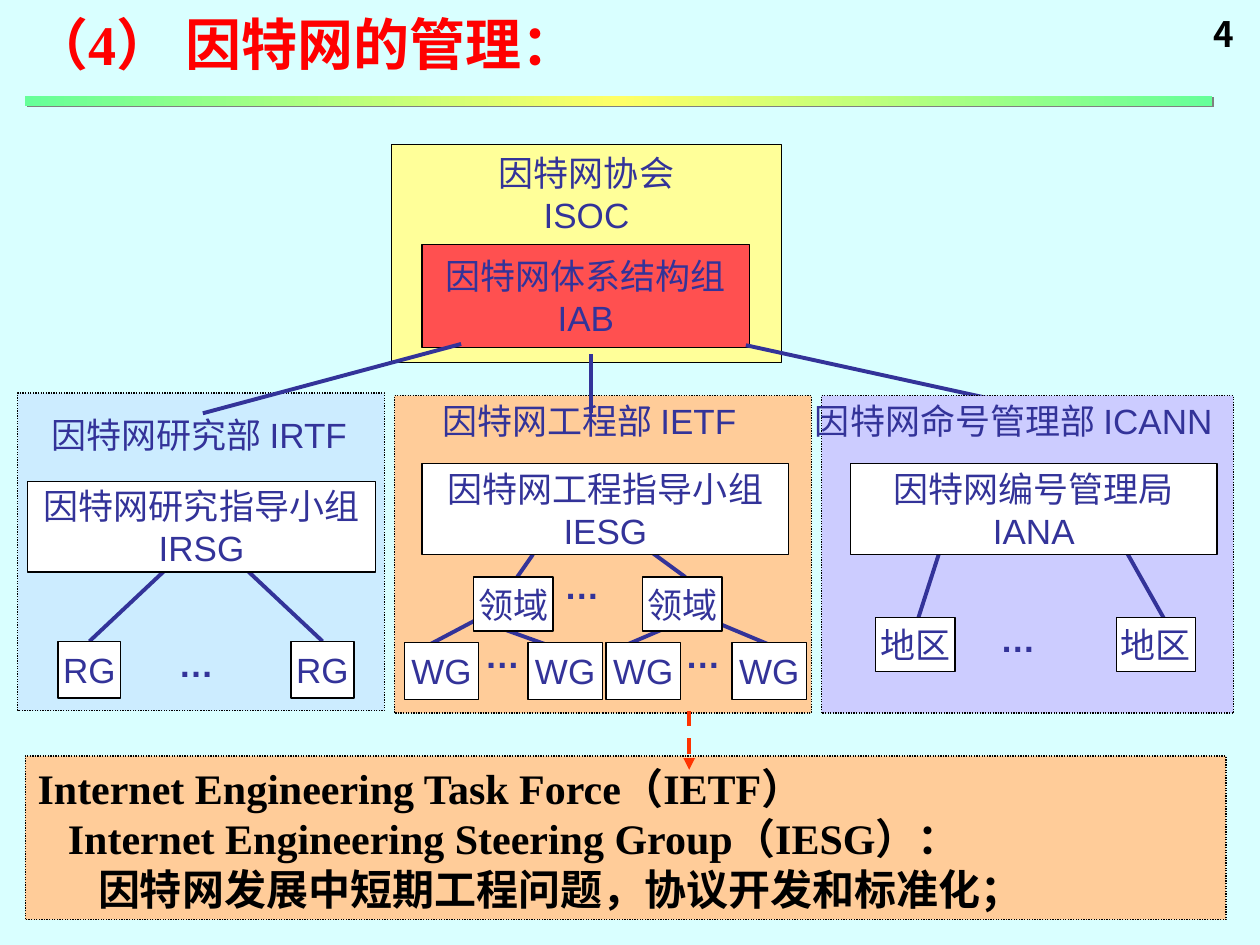
"""Build the slide on how the Internet is managed, with its organisation chart."""
from copy import deepcopy

from lxml.etree import SubElement
from pptx import Presentation
from pptx.dml.color import RGBColor
from pptx.enum.dml import MSO_LINE
from pptx.enum.shapes import MSO_CONNECTOR, MSO_SHAPE
from pptx.enum.text import MSO_ANCHOR, MSO_AUTO_SIZE, PP_ALIGN
from pptx.oxml.ns import qn
from pptx.util import Inches, Pt

COLORS = {
    "background": "D9FFFF", "black": "000000", "white": "FFFFFF", "navy": "333399",
    "title": "FF0000", "arrow": "FF3300", "society": "FFFF99", "board": "FF5050",
    "research": "CCECFF", "engineering": "FFCC99", "naming": "CCCCFF",
    "bar_end": "66FF99", "bar_middle": "FFFF66", "shadow": "808080",
}
COLORS_RGB = {name: RGBColor.from_string(value) for name, value in COLORS.items()}

presentation = Presentation()
presentation.slide_width, presentation.slide_height = Inches(10), Inches(7.5)
slide = presentation.slides.add_slide(presentation.slide_layouts[6])
slide.background.fill.solid()
slide.background.fill.fore_color.rgb = COLORS_RGB["background"]


def add_box(position, lines=(), fill=None, dotted=False, size=20, font="Arial",
            color="navy", bold=False, align=PP_ALIGN.CENTER, anchor=MSO_ANCHOR.MIDDLE,
            indent=0):
    lengths = [Inches(value) for value in position]
    if fill:
        shape = slide.shapes.add_shape(MSO_SHAPE.RECTANGLE, *lengths)
        shape.shadow.inherit = False
        shape.fill.solid()
        shape.fill.fore_color.rgb = COLORS_RGB[fill]
        shape.line.color.rgb = COLORS_RGB["black"]
        shape.line.width = Pt(0.75)
        if dotted:
            shape.line.dash_style = MSO_LINE.ROUND_DOT
    else:
        shape = slide.shapes.add_textbox(*lengths)
        shape.text_frame.auto_size = MSO_AUTO_SIZE.SHAPE_TO_FIT_TEXT
        align, anchor = PP_ALIGN.LEFT, MSO_ANCHOR.TOP
    frame = shape.text_frame
    frame.word_wrap = align == PP_ALIGN.LEFT and fill is not None
    frame.vertical_anchor = anchor
    for index, line in enumerate(lines):
        paragraph = frame.paragraphs[0] if index == 0 else frame.add_paragraph()
        paragraph.text = line
        paragraph.alignment = align
        if indent:
            paragraph._p.get_or_add_pPr().set("marL", str(Inches(indent * index)))
        paragraph.font.size = Pt(size)
        paragraph.font.bold = bold
        paragraph.font.color.rgb = COLORS_RGB[color]
        paragraph.font.name = font
        SubElement(paragraph.font._element, qn("a:ea"), typeface="Noto Sans CJK SC")


def add_line(points, color="navy", arrow=False):
    line = slide.shapes.add_connector(
        MSO_CONNECTOR.STRAIGHT, *[Inches(value) for value in points])
    line.line.color.rgb = COLORS_RGB[color]
    line.line.width = Pt(2.25)
    properties = line._element.spPr
    if arrow:
        line.line.dash_style = MSO_LINE.DASH
        SubElement(properties.find(qn("a:ln")), qn("a:tailEnd"), type="triangle")
    SubElement(properties, qn("a:effectLst"))


add_box((0.16, 0.03, 4.74, 0.64), ["（4） 因特网的管理："], size=32,
        font="Times New Roman", color="title", bold=True)
add_box((9.53, 0.05, 0.36, 0.44), ["4"], font="Noto Sans CJK SC", color="black", bold=True)

bar = slide.shapes.add_shape(
    MSO_SHAPE.RECTANGLE, Inches(0.2), Inches(0.76), Inches(9.42), Inches(0.08))
bar.line.fill.background()
bar.fill.gradient()
bar.fill.gradient_angle = 0
stop_list = bar.fill.gradient_stops[0]._gs.getparent()
stop_list.append(deepcopy(stop_list[0]))
for stop, place, color in zip(bar.fill.gradient_stops, (0, 0.5, 1),
                              ("bar_end", "bar_middle", "bar_end")):
    stop.position = place
    stop.color.rgb = COLORS_RGB[color]
bar.shadow.inherit = False
shadow = SubElement(bar._element.spPr.find(qn("a:effectLst")), qn("a:outerShdw"),
                    dist=str(Pt(1.4)), dir="2700000", algn="ctr", rotWithShape="0")
SubElement(shadow, qn("a:srgbClr"), val=COLORS["shadow"])

add_box((3.11, 1.15, 3.09, 1.73), ["因特网协会", "ISOC"], "society", anchor=MSO_ANCHOR.TOP)
add_box((3.35, 1.94, 2.6, 0.82), ["因特网体系结构组", "IAB"], "board")
add_line((8.39, 3.28, 5.92, 2.74))

for position, fill in [
    ((0.14, 3.12, 2.91, 2.52), "research"),
    ((3.13, 3.14, 3.31, 2.52), "engineering"),
    ((6.52, 3.14, 3.27, 2.52), "naming"),
]:
    add_box(position, fill=fill, dotted=True)

for left, top, width, label in [
    (0.31, 3.23, 2.77, "因特网研究部 IRTF"),
    (3.41, 3.12, 2.75, "因特网工程部 IETF"),
    (6.37, 3.12, 3.5, "因特网命号管理部 ICANN"),
]:
    add_box((left, top, width, 0.44), [label])

for points in [
    (1.61, 3.28, 3.66, 2.73), (4.69, 2.81, 4.69, 3.28),
    (1.38, 4.46, 0.71, 5.09), (1.89, 4.46, 2.56, 5.09),
    (4.07, 4.63, 4.23, 4.4), (5.18, 4.39, 5.44, 4.58),
    (3.76, 4.93, 3.42, 5.11), (3.82, 4.93, 4.32, 5.11),
    (5.41, 4.93, 4.99, 5.11), (5.66, 4.93, 6.09, 5.11),
    (7.28, 4.93, 7.45, 4.4), (8.94, 4.38, 9.25, 4.93),
]:
    add_line(points)

for left, top, width, name, acronym in [
    (0.22, 3.82, 2.76, "因特网研究指导小组", "IRSG"),
    (3.35, 3.68, 2.91, "因特网工程指导小组", "IESG"),
    (6.75, 3.68, 2.91, "因特网编号管理局", "IANA"),
]:
    add_box((left, top, width, 0.72), [name, acronym], "white")

for label, top, width, height, lefts in [
    ("RG", 5.09, 0.5, 0.45, (0.46, 2.31)),
    ("领域", 4.58, 0.63, 0.43, (3.76, 5.1)),
    ("WG", 5.1, 0.59, 0.45, (3.21, 4.19, 4.81, 5.81)),
    ("地区", 4.9, 0.63, 0.43, (6.95, 8.86)),
]:
    for left in lefts:
        add_box((left, top, width, height), [label], "white")

for left, top in [(1.32, 5.05), (4.38, 4.43), (3.75, 4.98), (5.34, 4.98), (7.84, 4.85)]:
    add_box((left, top, 0.48, 0.44), ["…"], bold=True)

add_box((0.2, 6, 9.53, 1.3), [
    "Internet Engineering Task Force（IETF）",
    "Internet Engineering Steering Group（IESG）：",
    "因特网发展中短期工程问题，协议开发和标准化；",
], "engineering", dotted=True, size=24, font="Times New Roman", color="black",
    bold=True, align=PP_ALIGN.LEFT, indent=0.24)
add_line((5.47, 5.64, 5.47, 6.11), "arrow", arrow=True)

presentation.save("out.pptx")
